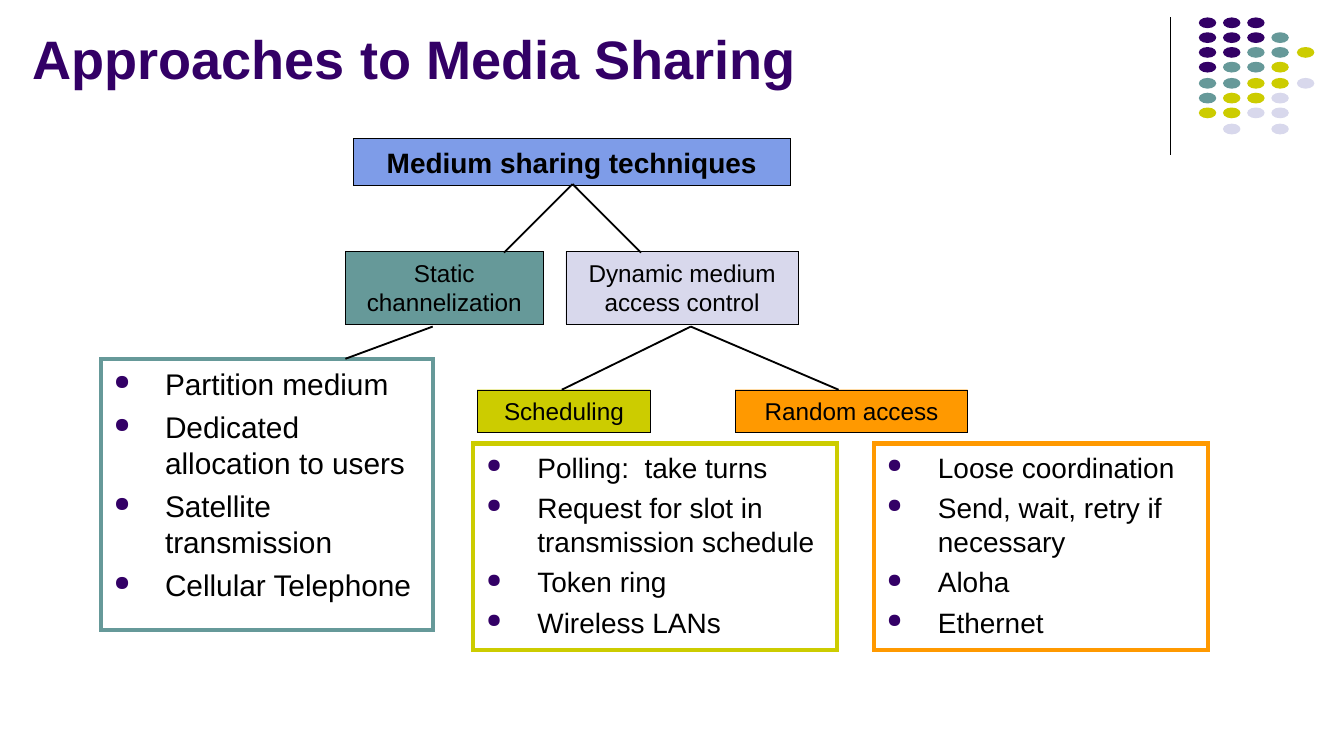
"""Build the media sharing approaches slide."""
from dataclasses import dataclass

from lxml.etree import SubElement
from pptx import Presentation
from pptx.dml.color import RGBColor
from pptx.enum.shapes import MSO_CONNECTOR, MSO_SHAPE
from pptx.enum.text import MSO_ANCHOR, MSO_AUTO_SIZE, PP_ALIGN
from pptx.oxml.ns import qn
from pptx.util import Pt

PX = 9144


@dataclass(frozen=True)
class Theme:
    font: str = "Arial"
    black: str = "000000"
    purple: str = "330066"
    teal: str = "669999"
    olive: str = "CCCC00"
    lilac: str = "D8D8EC"
    blue: str = "7E9CE8"
    orange: str = "FF9900"
    title: int = 29
    large: int = 16
    medium: int = 15
    small: int = 13


T = Theme()


def write(p, text, size, color=T.black, bold=False):
    r = p.add_run()
    r.text = text
    r.font.color.rgb = RGBColor.from_string(color)
    for name, value in {"name": T.font, "size": Pt(size), "bold": bold}.items():
        setattr(r.font, name, value)


def add_box(kind, box, fill=None, line=None, width=0.25):
    sp = s.shapes.add_shape(kind, *(v * PX for v in box))
    sp.shadow.inherit = False
    if fill:
        sp.fill.solid()
        sp.fill.fore_color.rgb = RGBColor.from_string(fill)
    else:
        sp.fill.background()
    if line:
        sp.line.color.rgb = RGBColor.from_string(line)
        sp.line.width = Pt(width)
        SubElement(sp._element.spPr.find(qn("a:ln")), qn("a:miter"), lim="800000")
    else:
        sp.line.fill.background()
    return sp


prs = Presentation()
prs.slide_width = 1000 * PX
prs.slide_height = prs.slide_width * 9 // 16
s = prs.slides.add_slide(prs.slide_layouts[5])

title = s.shapes.title
for name, value in zip(("left", "top", "width", "height"), (14, 3, 825, 69)):
    setattr(title, name, value * PX)
tf = title.text_frame
for name, value in {"vertical_anchor": MSO_ANCHOR.BOTTOM, "word_wrap": True,
                    "auto_size": MSO_AUTO_SIZE.NONE}.items():
    setattr(tf, name, value)
tf.paragraphs[0].alignment = PP_ALIGN.LEFT
write(tf.paragraphs[0], "Approaches to Media Sharing", T.title, T.purple, True)

dot_colors = {"P": T.purple, "T": T.teal, "O": T.olive, "L": T.lilac}
dot_rows = ["PPP", "PPPT", "PPTTO", "PTTO", "TTOOL", "TOOL", "OOLL", " L L"]
for row, codes in enumerate(dot_rows):
    for col, code in enumerate(codes):
        if code in dot_colors:
            box = (892 + col * 73 // 4, 13 + row * 79 // 7, 13, 8)
            add_box(MSO_SHAPE.OVAL, box, dot_colors[code])

nodes = [
    ("Medium sharing techniques", (263, 103, 325, 35), T.blue, T.medium, True),
    ("Static channelization", (257, 187, 147, 54), T.teal, T.small, False),
    ("Dynamic medium access control", (421, 187, 173, 54), T.lilac, T.small, False),
    ("Scheduling", (355, 290, 129, 32), T.olive, T.small, False),
    ("Random access", (547, 290, 173, 32), T.orange, T.small, False),
]
for text, box, fill, size, bold in nodes:
    tf = add_box(MSO_SHAPE.RECTANGLE, box, fill, T.black).text_frame
    tf.word_wrap = True
    p = tf.paragraphs[0]
    p.alignment = PP_ALIGN.CENTER
    write(p, text, size, bold=bold)

lists = [
    ((75, 267, 247, 202), T.teal, T.large, 4,
     ["Partition medium", "Dedicated allocation to users",
      "Satellite transmission", "Cellular Telephone"]),
    ((352, 330, 271, 154), T.olive, T.medium, 3.7,
     ["Polling:  take turns", "Request for slot in transmission schedule",
      "Token ring", "Wireless LANs"]),
    ((650, 330, 249, 154), T.orange, T.medium, 3.7,
     ["Loose coordination", "Send, wait, retry if necessary", "Aloha", "Ethernet"]),
]
for box, color, size, gap, items in lists:
    tf = add_box(MSO_SHAPE.RECTANGLE, box, line=color, width=2.25).text_frame
    tf.word_wrap = True
    tf.vertical_anchor = MSO_ANCHOR.TOP
    for i, text in enumerate(items):
        p = tf.add_paragraph() if i else tf.paragraphs[0]
        p.alignment = PP_ALIGN.LEFT
        p.space_before = Pt(gap if i else 0)
        pPr = p._p.get_or_add_pPr()
        pPr.set("marL", str(38 * PX))
        pPr.set("indent", str(-38 * PX))
        SubElement(SubElement(pPr, qn("a:buClr")), qn("a:srgbClr"), val=T.purple)
        SubElement(pPr, qn("a:buSzPct"), val="70000")
        SubElement(pPr, qn("a:buChar"), char="●")
        write(p, text, size)

lines = [
    (871, 13, 871, 115, 0.75),
    (426, 137, 375, 188, 1),
    (426, 137, 477, 188, 1),
    (514, 243, 418, 290, 1),
    (514, 243, 624, 290, 1),
    (322, 243, 257, 267, 1),
]
for *ends, width in lines:
    ln = s.shapes.add_connector(MSO_CONNECTOR.STRAIGHT, *(v * PX for v in ends))
    ln.line.color.rgb = RGBColor.from_string(T.black)
    ln.line.width = Pt(width)
    SubElement(ln._element.spPr, qn("a:effectLst"))

prs.save("out.pptx")
